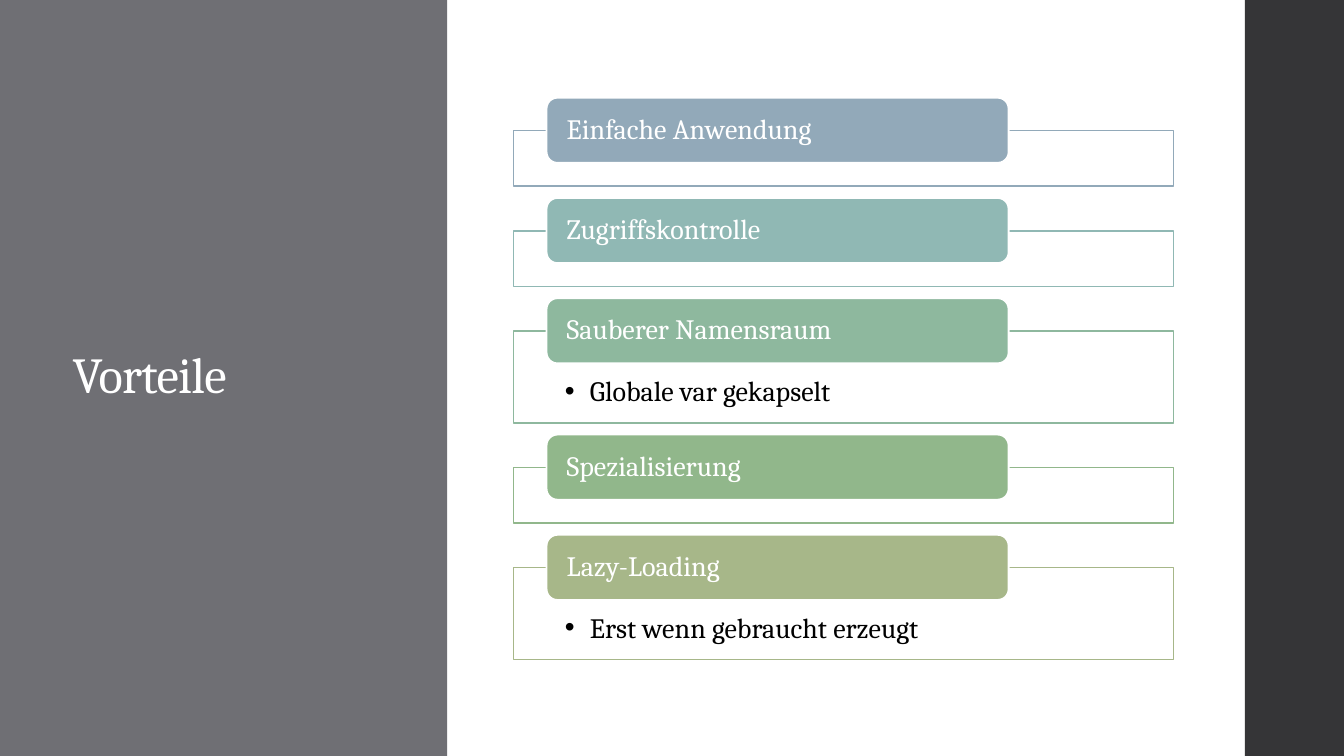
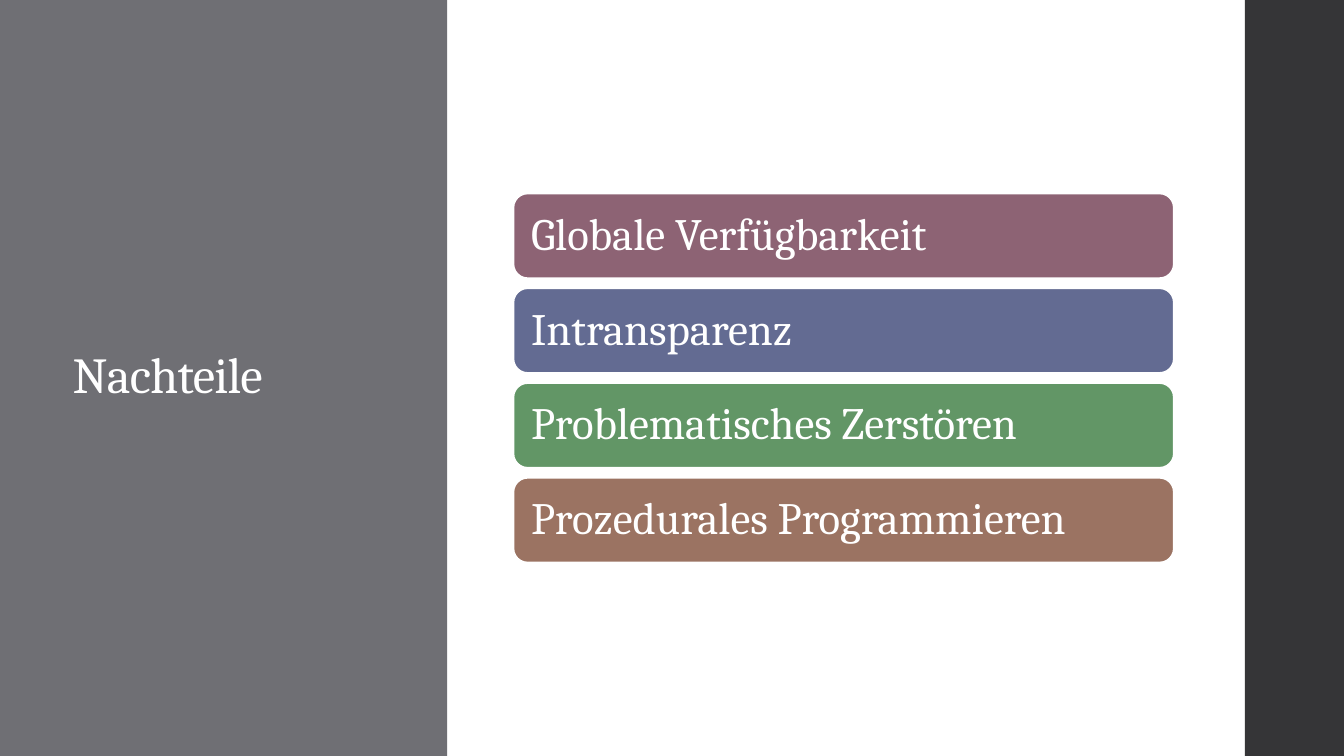
from lxml.etree import SubElement
from pptx import Presentation
from pptx.dml.color import RGBColor
from pptx.enum.shapes import MSO_SHAPE
from pptx.enum.text import MSO_ANCHOR, MSO_AUTO_SIZE, PP_ALIGN
from pptx.oxml.ns import qn
from pptx.util import Pt

ADVANTAGES = [
    ("Einfache Anwendung", None, "92A9B9"),
    ("Zugriffskontrolle", None, "90B8B4"),
    ("Sauberer Namensraum", "Globale var gekapselt", "8EB89E"),
    ("Spezialisierung", None, "91B78B"),
    ("Lazy-Loading", "Erst wenn gebraucht erzeugt", "A7B789"),
]
DISADVANTAGES = [
    ("Globale Verfügbarkeit", "8D6374"),
    ("Intransparenz", "636B92"),
    ("Problematisches Zerstören", "629666"),
    ("Prozedurales Programmieren", "9B7362"),
]
WHITE, BLACK = "FFFFFF", "000000"
FONT = "Cambria"
SLIDE_WIDTH, SLIDE_HEIGHT = 960, 540
BANDS = [
    ((0, 0, 319.4, SLIDE_HEIGHT), "6F6F74"),
    ((889.2, 0, SLIDE_WIDTH - 889.2, SLIDE_HEIGHT), "353537"),
]
TITLE_BOX = (44.7, 65.5, 213.8, 408.3)
CONTENT_LEFT, CONTENT_WIDTH = 366.8, 471.6

TITLE_FORMAT = {"size": 36, "color": WHITE, "margins": (7.2, 3.6, 7.2, 3.6)}
LABEL_FORMAT = {"size": 20, "color": WHITE, "margins": (12.2, 0, 12.2, 0)}
DETAIL_FORMAT = {"size": 20, "color": BLACK, "margins": (36.6, 33, 36.6, 11.4),
                 "anchor": MSO_ANCHOR.TOP}
BAR_FORMAT = {"size": 32, "color": WHITE, "margins": (9.6, 9.6, 9.6, 9.6)}


def rgb(value):
    return RGBColor.from_string(value)


def set_values(target, values):
    for name, value in values.items():
        setattr(target, name, value)


def write_text(shape, text, size, color, margins, anchor=MSO_ANCHOR.MIDDLE):
    frame = shape.text_frame
    left, top, right, bottom = map(Pt, margins)
    set_values(frame, {
        "text": text, "word_wrap": True, "auto_size": MSO_AUTO_SIZE.NONE,
        "vertical_anchor": anchor, "margin_left": left, "margin_top": top,
        "margin_right": right, "margin_bottom": bottom,
    })
    paragraph = frame.paragraphs[0]
    set_values(paragraph, {"alignment": PP_ALIGN.LEFT, "line_spacing": 0.9})
    font = paragraph.runs[0].font
    set_values(font, {"name": FONT, "size": Pt(size)})
    font.color.rgb = rgb(color)


def add_bullet(shape):
    for properties in shape.element.iter(qn("a:pPr")):
        properties.set("marL", str(Pt(18)))
        properties.set("indent", str(-Pt(18)))
        SubElement(properties, qn("a:buFont")).set("typeface", "Arial")
        SubElement(properties, qn("a:buChar")).set("char", "•")


def add_box(slide, kind, box, fill, line=None, line_width=1.1):
    shape = slide.shapes.add_shape(kind, *map(Pt, box))
    shape.shadow.inherit = False
    shape.fill.solid()
    shape.fill.fore_color.rgb = rgb(fill)
    if line:
        shape.line.color.rgb = rgb(line)
        shape.line.width = Pt(line_width)
    else:
        shape.line.fill.background()
    return shape


def add_titled_slide(presentation, text):
    slide = presentation.slides.add_slide(presentation.slide_layouts[5])
    title = slide.shapes.title
    set_values(title, dict(zip(("left", "top", "width", "height"), map(Pt, TITLE_BOX))))
    write_text(title, text, **TITLE_FORMAT)
    for properties in title.element.iter(qn("a:rPr")):
        properties.set("spc", "-50")
    for box, color in BANDS:
        band = add_box(slide, MSO_SHAPE.RECTANGLE, box, color)
        title.element.addprevious(band.element)
    return slide


def add_advantages(slide):
    top, gap = 93.3, 31.9
    label_rise, label_height = 23.5, 46.6
    for label_text, detail, color in ADVANTAGES:
        height = 65.5 if detail else 39.7
        frame = add_box(slide, MSO_SHAPE.RECTANGLE,
                        (CONTENT_LEFT, top, CONTENT_WIDTH, height), WHITE, color)
        if detail:
            write_text(frame, detail, **DETAIL_FORMAT)
            add_bullet(frame)
        label_box = (CONTENT_LEFT + CONTENT_WIDTH * 0.05, top - label_rise,
                     CONTENT_WIDTH * 0.7, label_height)
        label = add_box(slide, MSO_SHAPE.ROUNDED_RECTANGLE, label_box, color, WHITE, 1.35)
        write_text(label, label_text, **LABEL_FORMAT)
        top += height + gap


def add_disadvantages(slide):
    height, gap = 60.4, 7.3
    total = len(DISADVANTAGES) * (height + gap) - gap
    first_top = (SLIDE_HEIGHT - total) / 2
    for index, (text, color) in enumerate(DISADVANTAGES):
        box = (CONTENT_LEFT, first_top + index * (height + gap), CONTENT_WIDTH, height)
        bar = add_box(slide, MSO_SHAPE.ROUNDED_RECTANGLE, box, color, WHITE)
        write_text(bar, text, **BAR_FORMAT)


presentation = Presentation()
set_values(presentation, {"slide_width": Pt(SLIDE_WIDTH), "slide_height": Pt(SLIDE_HEIGHT)})
add_advantages(add_titled_slide(presentation, "Vorteile"))
add_disadvantages(add_titled_slide(presentation, "Nachteile"))
presentation.save("out.pptx")
